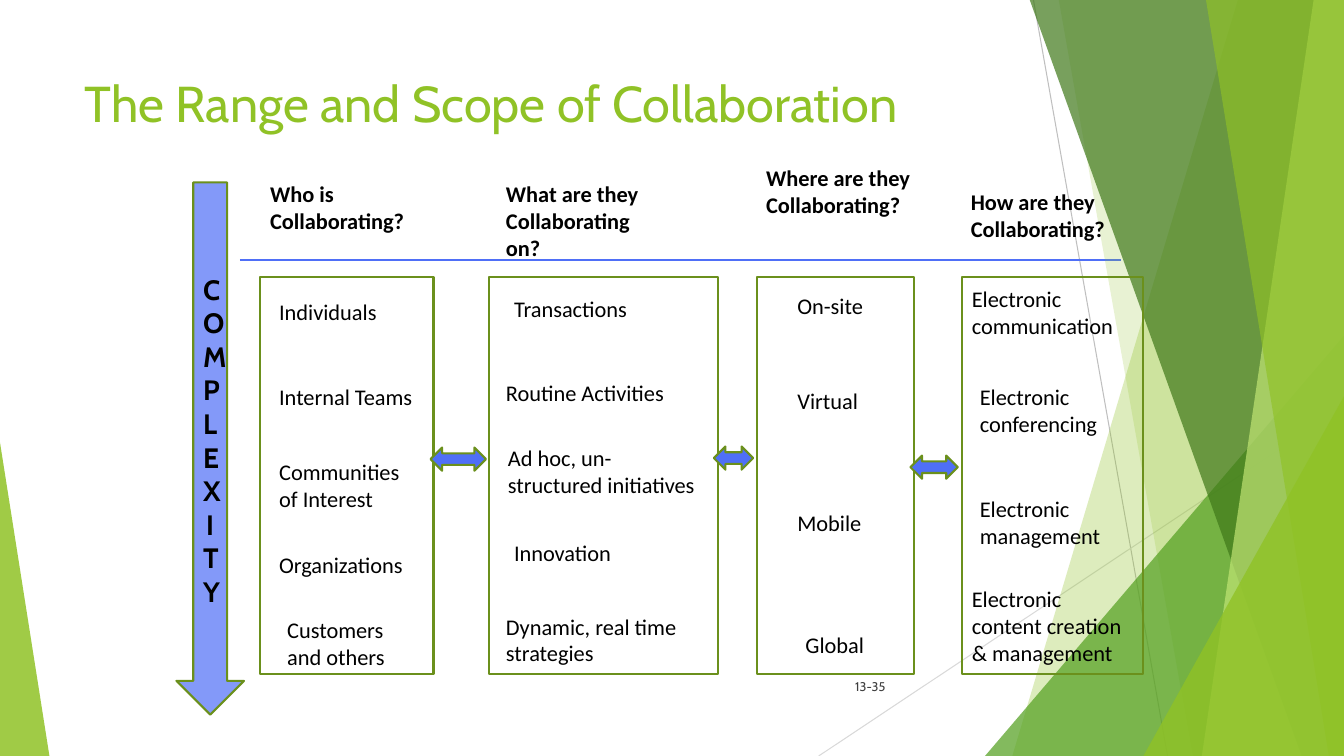
import pptx
import pptx.util
import pptx.dml.color
import pptx.oxml.ns
import pptx.oxml.xmlchemy
import pptx.enum.shapes
import pptx.enum.text

Inches = pptx.util.Inches
Pt = pptx.util.Pt
MSO = pptx.enum.shapes.MSO_SHAPE
ALIGN = pptx.enum.text.PP_ALIGN
ANCHOR = pptx.enum.text.MSO_ANCHOR

WIDE, HIGH = 13.33, 7.5
LIME, BLUE, OLIVE, BLACK = "90C226", "4F6FF7", "6B901C", "000000"


def paint(item, fill=None, line=None, alpha=100):
    """Set fill, outline and transparency of a shape."""
    item.shadow.inherit = False
    if fill:
        item.fill.solid()
        item.fill.fore_color.rgb = pptx.dml.color.RGBColor.from_string(fill)
        if alpha < 100:
            tone = item._element.spPr.find(".//" + pptx.oxml.ns.qn("a:srgbClr"))
            mark = pptx.oxml.xmlchemy.OxmlElement("a:alpha")
            mark.set("val", str(alpha * 1000))
            tone.append(mark)
    else:
        item.fill.background()
    if line:
        item.line.color.rgb = pptx.dml.color.RGBColor.from_string(line)
        item.line.width = Pt(1.5)
    else:
        item.line.fill.background()


def write(item, text, size, font, color, bold=False, align=ALIGN.LEFT, anchor=ANCHOR.TOP):
    """Fill a shape with text and format its runs."""
    frame = item.text_frame
    frame.text = text
    frame.word_wrap = True
    frame.vertical_anchor = anchor
    for para in frame.paragraphs:
        para.alignment = align
        for run in para.runs:
            run.font.size = Pt(size)
            run.font.name = font
            run.font.bold = bold
            run.font.color.rgb = pptx.dml.color.RGBColor.from_string(color)


deck = pptx.Presentation()
deck.slide_width, deck.slide_height = Inches(WIDE), Inches(HIGH)
slide = deck.slides.add_slide(deck.slide_layouts[5])
shapes = slide.shapes
title = shapes.title

# Thin lines: two behind the bands, one under the headings
rules = [
    (10.25, 0, 11.58, 7.5, "BFBFBF", 0.75),
    (13.33, 4.03, 8.12, 7.5, "D9D9D9", 0.75),
    (2.38, 2.58, 11.12, 2.58, BLUE, 1),
]
for x1, y1, x2, y2, color, width in rules:
    rule = shapes.add_connector(pptx.enum.shapes.MSO_CONNECTOR.STRAIGHT,
                                Inches(x1), Inches(y1), Inches(x2), Inches(y2))
    rule.line.color.rgb = pptx.dml.color.RGBColor.from_string(color)
    rule.line.width = Pt(width)
    rule._element.spPr.append(pptx.oxml.xmlchemy.OxmlElement("a:effectLst"))

# Green bands: top and bottom x of the slanted left edge,
# or left, top, width and corner of a triangle
bands = [
    ((12.28, 10.04), LIME, 30),
    ((10.5, 11.83), LIME, 20),
    ((9.77, 3.33, 3.56, 1), "54A021", 72),
    ((10.21, 12.91), "3F7819", 70),
    ((13.03, 11.92), "C0E474", 70),
    ((11.96, 13.18), LIME, 65),
    ((11.34, 3.93, 1.99, 1), LIME, 80),
    ((0, 4.39, 0.49, 0), LIME, 85),
]
for place, color, alpha in bands:
    if len(place) == 2:
        top, base = place
        edge = shapes.build_freeform(Inches(top), Inches(-0.01))
        edge.add_line_segments([(Inches(x), Inches(y)) for x, y in
                                [(WIDE, -0.01), (WIDE, HIGH), (base, HIGH)]])
        band = edge.convert_to_shape()
    else:
        x, y, width, tip = place
        band = shapes.add_shape(MSO.ISOSCELES_TRIANGLE, Inches(x), Inches(y),
                                Inches(width), Inches(HIGH - y))
        band.adjustments[0] = tip
    paint(band, color, alpha=alpha)

# Title, raised above the bands
shapes._spTree.append(title._element)
title.left, title.top = Inches(0.74), Inches(0.67)
title.width, title.height = Inches(9.4), Inches(1.44)
write(title, "The Range and Scope of Collaboration", 36, "Cabin", LIME)

# Page number
page = shapes.add_textbox(Inches(7.88), Inches(6.61), Inches(1), Inches(0.4))
write(page, "13-35", 9, "Cabin", "3F3F3F", align=ALIGN.RIGHT, anchor=ANCHOR.MIDDLE)

# Complexity arrow
scale = shapes.add_shape(MSO.DOWN_ARROW, Inches(1.75), Inches(1.81), Inches(0.67), Inches(5.28))
paint(scale, BLUE, OLIVE, 70)
write(scale, "COMPLEXITY", 20, "Cabin", BLACK, True, ALIGN.CENTER, ANCHOR.MIDDLE)

# Columns: box left and width, heading with its place, items with theirs
columns = [
    (2.58, 1.72, "Who is Collaborating?", 2.58, 1.74, [
        ("Individuals", 2.67, 2.91, 1.2),
        ("Internal Teams", 2.67, 3.75, 1.72),
        ("Communities\nof Interest", 2.67, 4.5, 1.49),
        ("Organizations", 2.67, 5.42, 1.64),
        ("Customers\nand others", 2.75, 6.06, 1.25)]),
    (4.85, 2.27, "What are they Collaborating on?", 4.92, 1.74, [
        ("Transactions", 5, 2.88, 1.48),
        ("Routine Activities", 4.92, 3.71, 1.82),
        ("Ad hoc, un-\nstructured initiatives", 4.94, 4.36, 2.1),
        ("Innovation", 5, 5.3, 1.2),
        ("Dynamic, real time\nstrategies", 4.92, 6.03, 1.95)]),
    (7.51, 1.56, "Where are they Collaborating?", 7.5, 1.58, [
        ("On-site", 7.81, 2.85, 0.89),
        ("Virtual", 7.81, 3.79, 0.82),
        ("Mobile", 7.81, 5, 0.94),
        ("Global", 7.89, 6.21, 0.81)]),
    (9.54, 1.8, "How are they Collaborating?", 9.53, 1.82, [
        ("Electronic\ncommunication", 9.54, 2.78, 1.88),
        ("Electronic\nconferencing", 9.62, 3.75, 1.42),
        ("Electronic\nmanagement", 9.62, 4.86, 1.45),
        ("Electronic\ncontent creation\n& management", 9.54, 5.76, 1.78)]),
]
for left, width, head, x, y, items in columns:
    box = shapes.add_shape(MSO.RECTANGLE, Inches(left), Inches(2.75), Inches(width), Inches(3.94))
    paint(box, line=OLIVE)
    label = shapes.add_textbox(Inches(x), Inches(y), Inches(1.72), Inches(0.64))
    write(label, head, 16, "Calibri", BLACK, True)
    for text, x, y, span in items:
        tall = 0.1 + 0.27 * (text.count("\n") + 1)
        note = shapes.add_textbox(Inches(x), Inches(y), Inches(span), Inches(tall))
        write(note, text, 16, "Calibri", BLACK)

# Double arrows between the columns
for x, y, width in [(4.27, 4.44, 0.55), (7.08, 4.43, 0.39), (9.03, 4.52, 0.47)]:
    link = shapes.add_shape(MSO.LEFT_RIGHT_ARROW, Inches(x), Inches(y), Inches(width), Inches(0.23))
    paint(link, BLUE, OLIVE)

deck.save("out.pptx")
